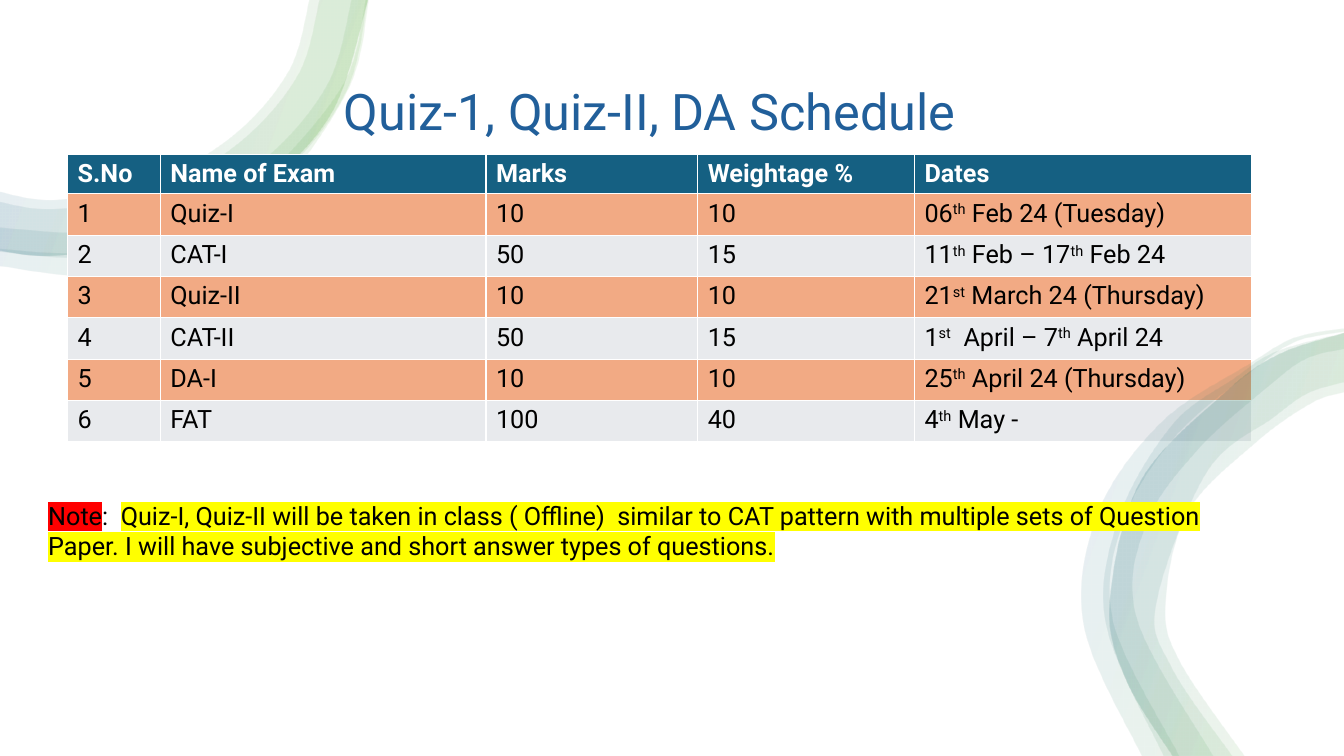
"""Builds the exam schedule slide with its table, note and ribbon decoration."""
from lxml import etree
from pptx import Presentation
from pptx.dml.color import RGBColor
from pptx.enum.shapes import MSO_SHAPE
from pptx.enum.text import MSO_ANCHOR, MSO_AUTO_SIZE, PP_ALIGN
from pptx.oxml.ns import qn
from pptx.util import Inches, Pt

RECTANGLE = MSO_SHAPE.RECTANGLE
BOTTOM = MSO_ANCHOR.BOTTOM
NO_FIT = MSO_AUTO_SIZE.NONE
CENTER = PP_ALIGN.CENTER

HEADINGS = ["S.No", "Name of Exam", "Marks", "Weightage %", "Dates"]
EXAMS = [
    ["1", "Quiz-I", "10", "10", "06^th^ Feb 24 (Tuesday)"],
    ["2", "CAT-I", "50", "15", "11^th^ Feb – 17^th^ Feb 24"],
    ["3", "Quiz-II", "10", "10", "21^st^ March 24 (Thursday)"],
    ["4", "CAT-II", "50", "15", "1^st^  April – 7^th^ April 24"],
    ["5", "DA-I", "10", "10", "25^th^ April 24 (Thursday)"],
    ["6", "FAT", "100", "40", "4^th^ May -"],
]
COLUMN_WIDTHS = [0.92, 3.23, 2.1, 2.15, 3.34]
NOTE = [
    ("Note", "FF0000"),
    (":  ", None),
    ("Quiz-I, Quiz-II will be taken in class ( Offline)  similar to CAT pattern with "
     "multiple sets of Question Paper. I will have subjective and short answer types "
     "of questions.", "FFFF00"),
]

RIBBON_STOPS = [(2, "FFFFFF"), (16, "4EA72E"), (85, "156082"), (100, "FFFFFF")]
TOP_RIM = [(3.64, 0), (3.28, 1.12), (2.57, 1.86), (1.62, 2.35), (0.56, 2.53), (0, 2.48)]
TOP_RIBBONS = [
    (TOP_RIM, [(3.06, 0), (2.86, 0.7), (2.3, 1.35), (1.48, 1.81), (0.56, 1.98), (0, 1.9)]),
    (TOP_RIM, [(3.16, 0), (2.95, 0.74), (2.36, 1.42), (1.51, 1.9), (0.56, 2.07), (0, 2)]),
    ([(3.64, 0), (3.43, 0.9), (2.82, 1.7), (1.96, 2.26), (0.96, 2.54), (0, 2.49)],
     [(3.48, 0), (3.25, 0.82), (2.66, 1.54), (1.85, 2.04), (0.93, 2.29), (0, 2.25)]),
    ([(3.66, 0), (3.46, 0.88), (2.72, 1.95), (2.05, 2.42), (0.99, 2.73), (0, 2.64)],
     [(3.63, 0), (3.4, 0.85), (2.58, 1.81), (1.93, 2.2), (0.96, 2.5), (0, 2.47)]),
]
SIDE_RIM = [(13.34, 3.3), (12.67, 3.52), (12.13, 3.91), (11.31, 4.78), (11.01, 5.98),
            (11.17, 6.74), (11.63, 7.5)]
SIDE_RIBBONS = [
    ([(13.34, 3.26), (12.84, 3.35), (12.39, 3.61), (11.52, 4.19), (10.89, 5.1),
      (10.76, 6.22), (11.33, 7.5)],
     [(13.34, 3.29), (12.85, 3.39), (12.43, 3.67), (11.65, 4.34), (11.14, 5.19),
      (11.05, 6.18), (11.7, 7.5)]),
    ([(13.34, 3.3), (12.65, 3.49), (12.23, 3.76), (11.63, 4.21), (11.1, 5.13),
      (10.97, 6.19), (11.54, 7.5)],
     [(13.34, 3.46), (12.95, 3.56), (12.58, 3.83), (11.87, 4.47), (11.36, 5.22),
      (11.28, 6.15), (12.03, 7.5)]),
    (SIDE_RIM,
     [(13.34, 3.79), (12.97, 3.9), (12.63, 4.14), (11.97, 4.68), (11.47, 5.98),
      (11.62, 6.62), (12.22, 7.5)]),
    (SIDE_RIM,
     [(13.34, 3.89), (13, 4), (12.44, 4.4), (11.78, 5.08), (11.56, 5.98),
      (11.7, 6.56), (12.34, 7.5)]),
]


def color(hex_code):
    return RGBColor.from_string(hex_code)


def smooth_edge(lines, anchors):
    """Turns the line segments between the anchors into one smooth curve."""
    padded = [anchors[0], *anchors, anchors[-1]]
    for line, before, start, end, after in zip(
            lines, padded, padded[1:], padded[2:], padded[3:]):
        leave = [s + (e - b) // 6 for b, s, e in zip(before, start, end)]
        arrive = [e - (a - s) // 6 for s, e, a in zip(start, end, after)]
        line.tag = qn("a:cubicBezTo")
        for index, (x, y) in enumerate([leave, arrive]):
            line.insert(index, etree.Element(qn("a:pt"), x=str(x), y=str(y)))


class ScheduleSlide:
    """Holds the text style and the slide being filled."""

    def __init__(self, slide, font="Roboto"):
        self.slide = slide
        self.shapes = slide.shapes
        self.font = font

    def format_run(self, run, size, hex_code, bold=False):
        run.font.size = Pt(size)
        run.font.bold = bold
        run.font.color.rgb = color(hex_code)
        run.font.name = self.font

    def backdrop(self, width, height, hex_code):
        panel = self.shapes.add_shape(RECTANGLE, 0, 0, width, height)
        panel.shadow.inherit = False
        panel.fill.solid()
        panel.fill.fore_color.rgb = color(hex_code)
        panel.line.fill.background()
        self.shapes.element.insert(2, panel.element)

    def title(self, text, left, top, width, height):
        heading = self.shapes.title
        heading.left, heading.top = Inches(left), Inches(top)
        heading.width, heading.height = Inches(width), Inches(height)
        frame = heading.text_frame
        frame.text = text
        frame.auto_size = NO_FIT
        frame.vertical_anchor = BOTTOM
        paragraph = frame.paragraphs[0]
        paragraph.alignment = CENTER
        paragraph.line_spacing = 0.9
        self.format_run(paragraph.runs[0], 36, "215F9A")

    def ribbon(self, outer, inner):
        outline = [(Inches(x), Inches(y)) for x, y in outer + inner[::-1]]
        builder = self.shapes.build_freeform(*outline[0])
        builder.add_line_segments(outline[1:], close=True)
        band = builder.convert_to_shape()
        band.shadow.inherit = False
        band.line.fill.background()
        corners = [(int(point.get("x")), int(point.get("y")))
                   for point in band.element.iter(qn("a:pt"))]
        lines = list(band.element.iter(qn("a:lnTo")))
        turn = len(outer)
        smooth_edge(lines[:turn - 1], corners[:turn])
        smooth_edge(lines[turn:], corners[turn:])
        band.fill.gradient()
        gradient = band.element.spPr.find(qn("a:gradFill"))
        for child in list(gradient):
            gradient.remove(child)
        stops = etree.SubElement(gradient, qn("a:gsLst"))
        for position, hex_code in RIBBON_STOPS:
            stop = etree.SubElement(stops, qn("a:gs"), pos=str(position * 1000))
            tint = etree.SubElement(stop, qn("a:srgbClr"), val=hex_code)
            etree.SubElement(tint, qn("a:alpha"), val="10000")
        etree.SubElement(gradient, qn("a:lin"), ang=str(200 * 60000), scaled="0")

    def cell(self, cell, text, fill, hex_code, bold):
        cell.fill.solid()
        cell.fill.fore_color.rgb = color(fill)
        paragraph = cell.text_frame.paragraphs[0]
        for index, part in enumerate(text.split("^")):
            run = paragraph.add_run()
            run.text = part
            self.format_run(run, 18, hex_code, bold)
            if index % 2:
                run.font._element.set("baseline", "30000")

    def table(self, rows, left, top, widths, heights):
        grid = self.shapes.add_table(
            len(rows), len(widths), Inches(left), Inches(top),
            Inches(sum(widths)), Inches(sum(heights))).table
        grid.horz_banding = False
        for column, width in zip(grid.columns, widths):
            column.width = Inches(width)
        for r, (row, height) in enumerate(zip(rows, heights)):
            grid.rows[r].height = Inches(height)
            fill = "156082" if r == 0 else "F2AA84" if r % 2 else "E8EAED"
            for c, text in enumerate(row):
                self.cell(grid.cell(r, c), text, fill,
                          "000000" if r else "FFFFFF", r == 0)

    def note(self, parts, left, top, width, height):
        frame = self.shapes.add_textbox(
            Inches(left), Inches(top), Inches(width), Inches(height)).text_frame
        frame.word_wrap = True
        for text, highlight in parts:
            run = frame.paragraphs[0].add_run()
            run.text = text
            self.format_run(run, 18, "000000")
            if highlight:
                marker = etree.Element(qn("a:highlight"))
                etree.SubElement(marker, qn("a:srgbClr"), val=highlight)
                run.font._element.find(qn("a:latin")).addprevious(marker)


def main():
    deck = Presentation()
    deck.slide_width, deck.slide_height = Inches(13.33), Inches(7.5)
    schedule = ScheduleSlide(deck.slides.add_slide(deck.slide_layouts[5]))
    schedule.backdrop(deck.slide_width, deck.slide_height, "FFFFFF")
    schedule.title("Quiz-1, Quiz-II, DA Schedule", 1.07, 0.58, 10.75, 0.87)
    for outer, inner in TOP_RIBBONS:
        schedule.ribbon(outer, inner)
    schedule.table([HEADINGS, *EXAMS], 0.67, 1.53, COLUMN_WIDTHS,
                   [0.38] + [0.41] * len(EXAMS))
    for outer, inner in SIDE_RIBBONS:
        schedule.ribbon(outer, inner)
    schedule.note(NOTE, 0.38, 4.91, 12.37, 0.71)
    deck.save("out.pptx")


if __name__ == "__main__":
    main()
